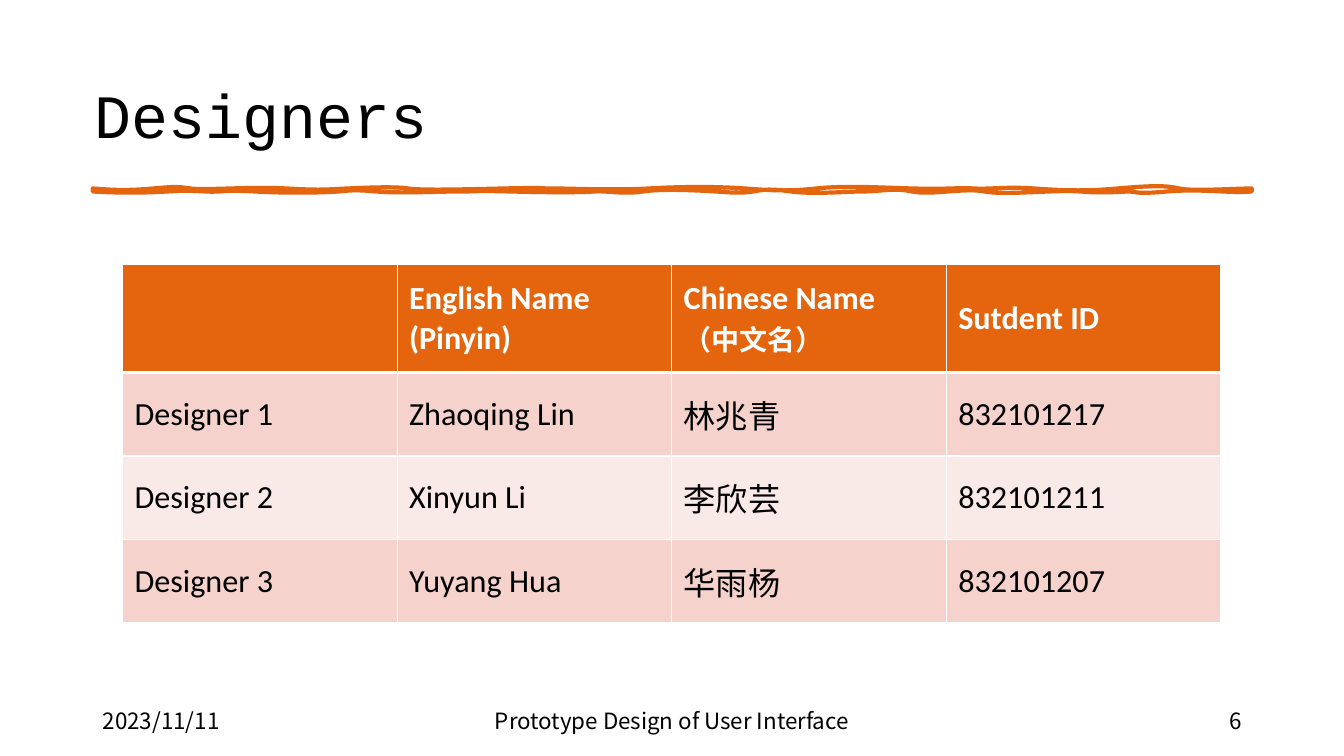
from dataclasses import dataclass

import pptx
import pptx.dml.color
import pptx.enum.text
import pptx.oxml
import pptx.oxml.ns
import pptx.util
from lxml import etree

Cm = pptx.util.Cm
Pt = pptx.util.Pt
qn = pptx.oxml.ns.qn
ALIGN = pptx.enum.text.PP_ALIGN
MIDDLE = pptx.enum.text.MSO_ANCHOR.MIDDLE

COLORS = {
    "orange": "E4650E",
    "band": "F5D3CC",
    "band_light": "FAEAE7",
    "text": "000000",
    "white": "FFFFFF",
}


@dataclass
class Label:
    text: str
    left: float
    top: float
    width: float
    height: float
    size: float
    font: str
    align: ALIGN = ALIGN.LEFT


LABELS = [
    Label("Designers", 2.13, 1.02, 29.21, 3.68, 44, "Courier New"),
    Label("2023/11/11", 2.34, 17.65, 7.62, 1.02, 16, "Noto Sans CJK SC"),
    Label("Prototype Design of User Interface", 11.22, 17.65, 11.43, 1.02, 16,
          "Noto Sans CJK SC", ALIGN.CENTER),
    Label("6", 23.93, 17.65, 7.62, 1.02, 16, "Noto Sans CJK SC", ALIGN.RIGHT),
]

# Each header is a list of (text, size) runs
HEADERS = [
    [],
    [("English Name (Pinyin)", 23)],
    [("Chinese Name ", 23), ("（中文名）", 20)],
    [("Sutdent ID", 23)],
]
DESIGNERS = [
    ("Zhaoqing Lin", "林兆青", "832101217"),
    ("Xinyun Li", "李欣芸", "832101211"),
    ("Yuyang Hua", "华雨杨", "832101207"),
]

# Brush rule edges in 1/100 inch: control x, y, control x, y, end x.
# Every curve of an edge starts and ends at that edge's own height.
BRUSH_UNIT = Cm(0.0254)
BRUSH_LEFT, BRUSH_RIGHT = 92, 1242
TOP_Y, BOTTOM_Y = 187, 190
TOP_EDGE = [
    (117, 189, 128, 189, 152), (176, 185, 175, 185, 189),
    (204, 189, 249, 185, 284), (319, 189, 323, 188, 345),
    (367, 186, 392, 185, 405), (418, 189, 458, 188, 500),
    (542, 186, 530, 187, 549), (567, 187, 609, 189, 644),
    (678, 185, 711, 185, 739), (766, 189, 782, 190, 810),
    (839, 184, 869, 186, 905), (942, 188, 950, 186, 966),
    (982, 188, 998, 185, 1026), (1054, 189, 1075, 190, 1109),
    (1144, 184, 1157, 184, 1170), (1183, 190, 1226, 187, 1242),
]
RIGHT_END = [(1242, 188, 1242, 189, 1242)]
BOTTOM_EDGE = [
    (1219, 192, 1193, 187, 1158), (1124, 193, 1129, 190, 1121),
    (1113, 190, 1096, 192, 1072), (1048, 188, 997, 194, 977),
    (957, 186, 924, 194, 905), (887, 186, 874, 190, 856),
    (839, 190, 807, 193, 785), (763, 187, 759, 188, 747),
    (736, 192, 725, 191, 710), (694, 189, 657, 187, 638),
    (619, 193, 601, 189, 589), (577, 191, 546, 191, 506),
    (465, 189, 479, 190, 457), (434, 190, 396, 192, 373),
    (351, 188, 348, 189, 336), (324, 191, 287, 192, 253),
    (218, 188, 223, 191, 204), (184, 189, 184, 189, 166),
    (149, 191, 127, 192, 92),
]


def rgb(name: str) -> pptx.dml.color.RGBColor:
    return pptx.dml.color.RGBColor.from_string(COLORS[name])


def style_run(r, size: float, font: str, color: str, bold: bool = False) -> None:
    r.font.size = Pt(size)
    r.font.name = font
    r.font.bold = bold
    r.font.color.rgb = rgb(color)


def add_brush_rule(s) -> None:
    """Build the outline from its end points, then bend each side into a curve."""
    lower = RIGHT_END + BOTTOM_EDGE
    ends = [(c[4], TOP_Y) for c in TOP_EDGE] + [(c[4], BOTTOM_Y) for c in lower]
    builder = s.shapes.build_freeform(BRUSH_LEFT, TOP_Y, scale=BRUSH_UNIT)
    builder.add_line_segments(ends, close=True)
    sp = builder.convert_to_shape()

    sides = list(sp._element.iter(qn("a:lnTo")))
    for side, (x1, y1, x2, y2, _) in zip(sides, TOP_EDGE + lower):
        side.tag = qn("a:cubicBezTo")
        for i, (x, y) in enumerate([(x1, y1), (x2, y2)]):
            control = etree.Element(qn("a:pt"), x=str(x - BRUSH_LEFT), y=str(y - TOP_Y))
            side.insert(i, control)

    sp.shadow.inherit = False
    sp.fill.background()
    sp.line.color.rgb = rgb("orange")
    sp.line.width = Pt(3)


def add_label(s, label: Label) -> None:
    sp = s.shapes.add_textbox(Cm(label.left), Cm(label.top),
                              Cm(label.width), Cm(label.height))
    tf = sp.text_frame
    tf.word_wrap = True
    tf.vertical_anchor = MIDDLE
    tf.text = label.text
    p = tf.paragraphs[0]
    p.alignment = label.align
    style_run(p.runs[0], label.size, label.font, "text")


def set_borders(cell, top: float, bottom: float) -> None:
    tc_pr = cell._tc.get_or_add_tcPr()
    for side, width in (("L", 1), ("R", 1), ("T", top), ("B", bottom)):
        tc_pr.append(pptx.oxml.parse_xml(
            f'<a:ln{side} {pptx.oxml.ns.nsdecls("a")} w="{Pt(width)}"><a:solidFill>'
            f'<a:srgbClr val="{COLORS["white"]}"/></a:solidFill></a:ln{side}>'))


def fill_cell(cell, runs: list, fill: str, color: str, bold: bool) -> None:
    cell.fill.solid()
    cell.fill.fore_color.rgb = rgb(fill)
    cell.vertical_anchor = MIDDLE
    cell.margin_left = cell.margin_right = Cm(0.3)
    cell.margin_top = cell.margin_bottom = Cm(0.15)
    p = cell.text_frame.paragraphs[0]
    for text, size in runs:
        r = p.add_run()
        r.text = text
        style_run(r, size, "Calibri", color, bold)


def add_designer_table(s) -> None:
    rows = [HEADERS]
    for number, details in enumerate(DESIGNERS, 1):
        rows.append([[(text, 23)] for text in (f"Designer {number}", *details)])
    table = s.shapes.add_table(len(rows), len(HEADERS), Cm(3.09), Cm(6.66),
                               Cm(27.68), Cm(9.03)).table
    for col in table.columns:
        col.width = Cm(6.92)
    for i, row in enumerate(rows):
        header = i == 0
        table.rows[i].height = Cm(2.73 if header else 2.1)
        fill = "orange" if header else ("band" if i % 2 else "band_light")
        for j, runs in enumerate(row):
            cell = table.cell(i, j)
            set_borders(cell, top=3 if i == 1 else 1, bottom=3 if header else 1)
            fill_cell(cell, runs, fill, "white" if header else "text", header)


def main() -> None:
    prs = pptx.Presentation()
    prs.slide_width, prs.slide_height = Cm(33.87), Cm(19.05)
    s = prs.slides.add_slide(prs.slide_layouts[6])

    # Rule under the title
    add_brush_rule(s)

    # Title and footer
    for label in LABELS:
        add_label(s, label)

    # Designers
    add_designer_table(s)

    prs.save("out.pptx")


if __name__ == "__main__":
    main()
